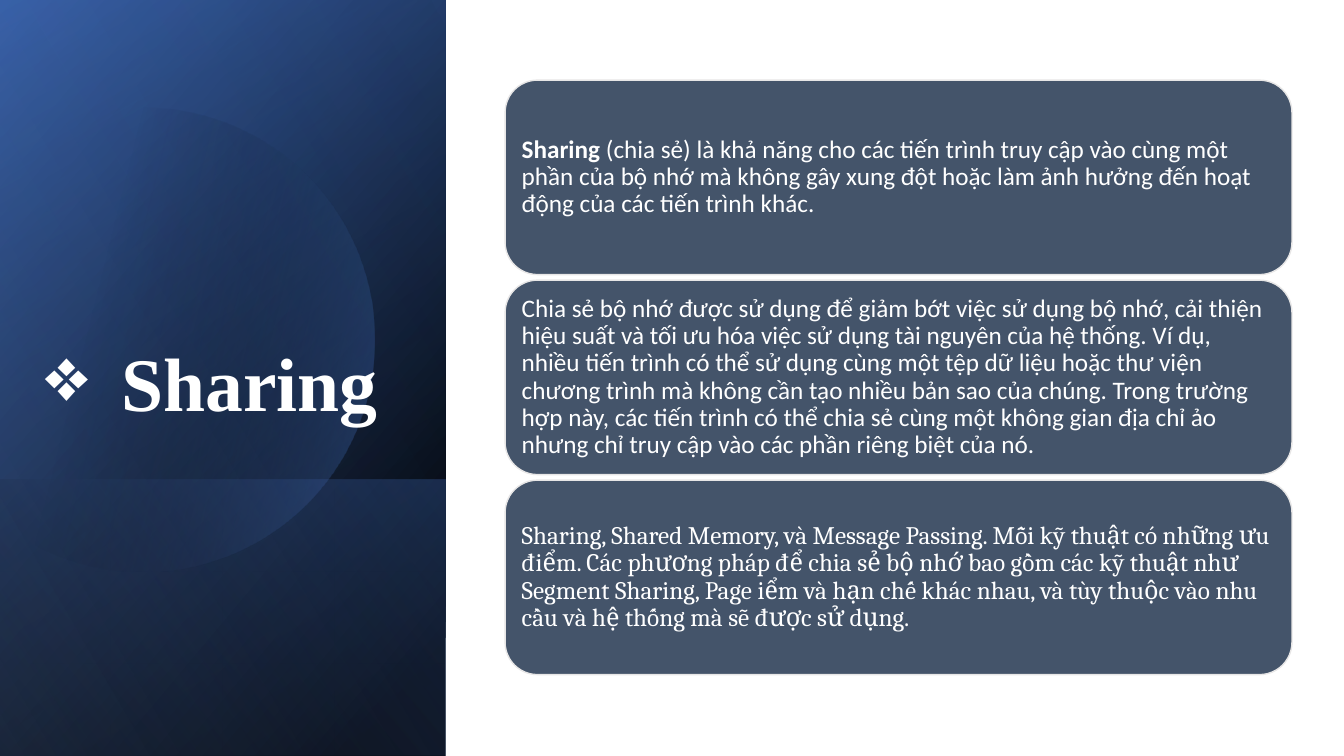
import math

import lxml.etree
import pptx
import pptx.dml.color
import pptx.enum.shapes
import pptx.enum.text
import pptx.oxml.ns
import pptx.util

Cm = pptx.util.Cm
Pt = pptx.util.Pt
qn = pptx.oxml.ns.qn
SHAPE = pptx.enum.shapes.MSO_SHAPE
ANCHOR = pptx.enum.text.MSO_ANCHOR
ALIGN = pptx.enum.text.PP_ALIGN

COLORS = {
    "black": "000000",
    "navy": "2F5597",
    "blue": "4472C4",
    "pale": "8FAADC",
    "card": "44546A",
    "edge": "E7E6E6",
    "white": "FFFFFF",
}

CARDS = [
    ("Calibri", [
        ("Sharing", True),
        (" (chia sẻ) là khả năng cho các tiến trình truy cập vào cùng một phần của bộ nhớ "
         "mà không gây xung đột hoặc làm ảnh hưởng đến hoạt động của các tiến trình khác.", False),
    ]),
    ("Calibri", [
        ("Chia sẻ bộ nhớ được sử dụng để giảm bớt việc sử dụng bộ nhớ, cải thiện hiệu suất và "
         "tối ưu hóa việc sử dụng tài nguyên của hệ thống. Ví dụ, nhiều tiến trình có thể sử dụng "
         "cùng một tệp dữ liệu hoặc thư viện chương trình mà không cần tạo nhiều bản sao của chúng. "
         "Trong trường hợp này, các tiến trình có thể chia sẻ cùng một không gian địa chỉ ảo nhưng "
         "chỉ truy cập vào các phần riêng biệt của nó.", False),
    ]),
    ("Cambria", [
        ("Sharing, Shared Memory, và Message Passing. Mỗi kỹ thuật có những ưu điểm. Các phương "
         "pháp để chia sẻ bộ nhớ bao gồm các kỹ thuật như Segment Sharing, Page iểm và hạn chế "
         "khác nhau, và tùy thuộc vào nhu cầu và hệ thống mà sẽ được sử dụng.", False),
    ]),
]


def rgb(name):
    return pptx.dml.color.RGBColor.from_string(COLORS[name])


def set_gradient(sp, stops, angle):
    sp.shadow.inherit = False
    sp.line.fill.background()
    sp.fill.gradient()
    grad = sp._element.spPr.find(qn("a:gradFill"))
    for child in list(grad):
        grad.remove(child)
    gs_list = lxml.etree.SubElement(grad, qn("a:gsLst"))
    for position, color, alpha in stops:
        gs = lxml.etree.SubElement(gs_list, qn("a:gs"), pos=str(position * 1000))
        clr = lxml.etree.SubElement(gs, qn("a:srgbClr"), val=COLORS[color])
        if alpha < 100:
            lxml.etree.SubElement(clr, qn("a:alpha"), val=str(alpha * 1000))
    lxml.etree.SubElement(grad, qn("a:lin"), ang=str(angle * 60000), scaled="0")


def add_turned_rect(s, x, y, w, h, stops, angle):
    sp = s.shapes.add_shape(SHAPE.RECTANGLE, Cm(x + (w - h) / 2), Cm(y + (h - w) / 2), Cm(h), Cm(w))
    sp.rotation = 90
    sp._element.spPr.find(qn("a:xfrm")).set("flipH", "1")
    set_gradient(sp, stops, angle)


def add_cut_circle(s, cx, cy, radius, left):
    limit = math.acos((left - cx) / radius)
    steps = 120
    angles = [limit * (2 * i / steps - 1) for i in range(steps + 1)]
    points = [(Cm(cx + radius * math.cos(a)), Cm(cy + radius * math.sin(a))) for a in angles]
    builder = s.shapes.build_freeform(*points[0])
    builder.add_line_segments(points[1:], close=True)
    set_gradient(builder.convert_to_shape(), [(29, "black", 0), (100, "blue", 43)], 14)


def add_title(s, x, y, w, h):
    tf = s.shapes.add_textbox(Cm(x), Cm(y), Cm(w), Cm(h)).text_frame
    tf.word_wrap = True
    tf.vertical_anchor = ANCHOR.BOTTOM
    p = tf.paragraphs[0]
    p.text = "Sharing"
    p.alignment = ALIGN.CENTER
    p.line_spacing = 0.9
    indent = Pt(54)
    props = p._p.get_or_add_pPr()
    props.set("marL", str(indent))
    props.set("indent", str(-indent))
    lxml.etree.SubElement(props, qn("a:buChar"), char="❖")
    font = p.runs[0].font
    font.name = "Times New Roman"
    font.size = Pt(54)
    font.bold = True
    font.color.rgb = rgb("white")


def add_side_panel(s, x, y, w, h):
    add_turned_rect(s, x, y, w, h, [(8, "black", 100), (100, "navy", 100)], 50)
    add_turned_rect(s, x, y, w, h, [(0, "black", 0), (99, "blue", 46)], 30)
    band = 6.96
    add_turned_rect(s, x, y + h - band, w, band, [(2, "blue", 29), (100, "black", 30)], 130)
    add_cut_circle(s, x + 3.61, y + 8.56, 5.84, x)
    add_turned_rect(s, x, y, w, h, [(0, "black", 0), (99, "pale", 11)], 120)
    add_title(s, x + 0.89, y + 1.5, 8.89, 9.4)


def add_card(s, x, y, w, h, font_name, parts):
    sp = s.shapes.add_shape(SHAPE.ROUNDED_RECTANGLE, Cm(x), Cm(y), Cm(w), Cm(h))
    sp.shadow.inherit = False
    sp.fill.solid()
    sp.fill.fore_color.rgb = rgb("card")
    sp.line.color.rgb = rgb("edge")
    sp.line.width = Pt(1)
    tf = sp.text_frame
    tf.word_wrap = True
    tf.vertical_anchor = ANCHOR.MIDDLE
    tf.margin_left = tf.margin_right = tf.margin_top = tf.margin_bottom = Cm(0.18)
    p = tf.paragraphs[0]
    p.alignment = ALIGN.LEFT
    p.line_spacing = 0.9
    for text, bold in parts:
        r = p.add_run()
        r.text = text
        r.font.name = font_name
        r.font.size = Pt(18)
        r.font.bold = bold
        r.font.color.rgb = rgb("white")


def add_cards(s, x, y, w, h):
    gap = 0.14
    card_h = (h - gap * (len(CARDS) - 1)) / len(CARDS)
    for i, (font_name, parts) in enumerate(CARDS):
        add_card(s, x, y + i * (card_h + gap), w, card_h, font_name, parts)


def main():
    prs = pptx.Presentation()
    prs.slide_width = Cm(33.87)
    prs.slide_height = Cm(19.05)
    s = prs.slides.add_slide(prs.slide_layouts[6])
    add_side_panel(s, 0, 0, 11.23, 19.05)
    add_cards(s, 12.73, 2.02, 19.83, 14.98)
    prs.save("out.pptx")


if __name__ == "__main__":
    main()
